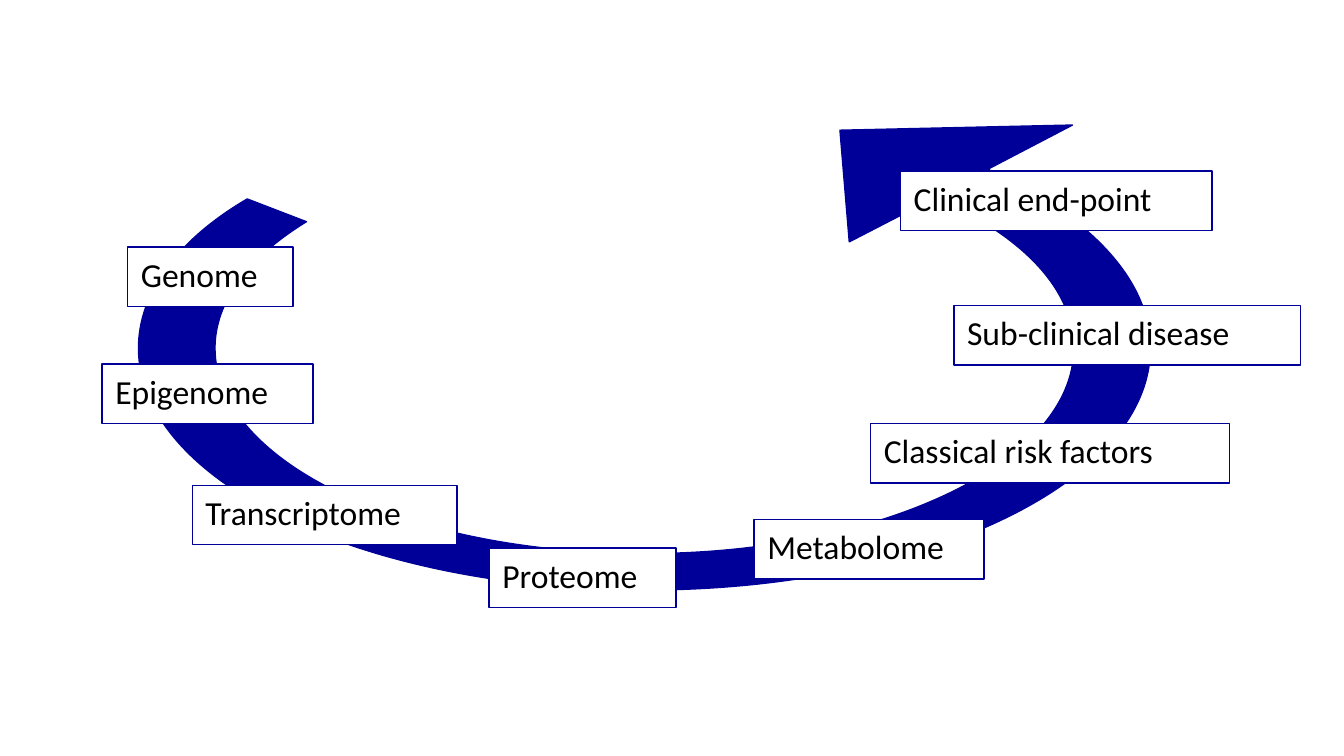
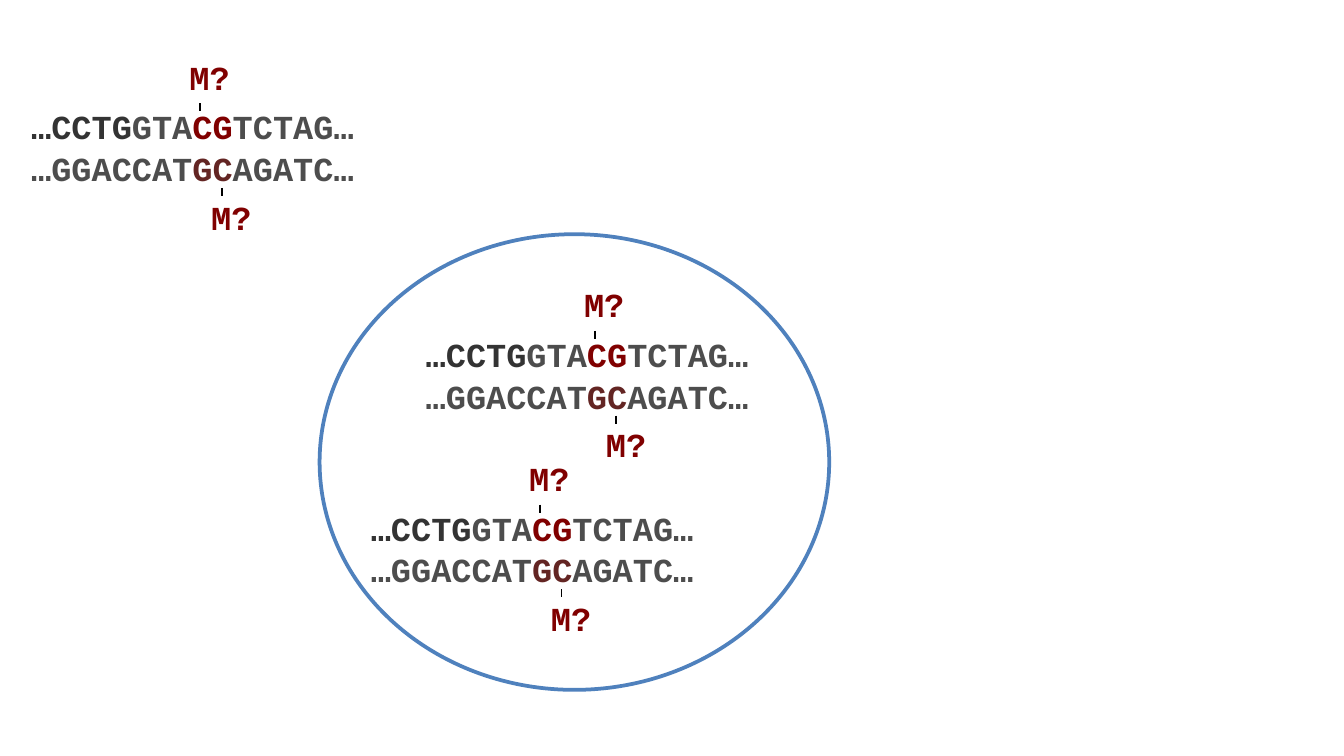
from pptx import Presentation
from pptx.dml.color import RGBColor
from pptx.enum.shapes import MSO_CONNECTOR as CONN, MSO_SHAPE as SHAPE
from pptx.enum.text import MSO_ANCHOR as ANCHOR, MSO_AUTO_SIZE as AUTO
from pptx.enum.text import PP_ALIGN as ALIGN
from pptx.oxml.ns import qn
from pptx.oxml.xmlchemy import OxmlElement
from pptx.util import Pt

# Shared look
NAVY = RGBColor(0x00, 0x00, 0x99)
BLUE = RGBColor(0x4F, 0x81, 0xBD)
WHITE = RGBColor(0xFF, 0xFF, 0xFF)
BLACK = RGBColor(0x00, 0x00, 0x00)
CHARCOAL = RGBColor(0x33, 0x33, 0x33)
GREY = RGBColor(0x4D, 0x4D, 0x4D)
RED = RGBColor(0x80, 0x00, 0x00)
BROWN = RGBColor(0x63, 0x25, 0x23)
SANS, MONO = "Calibri", "Courier New"
TEXT_SIZE = 18

# Curved arrow: one point makes a straight side, three make a Bézier curve
ARROW_START = (501.1, 105.8)
ARROW_SIDES = [
    [(548.6, 126.7), (575.3, 155.5), (575.3, 186.5)],
    [(575.3, 247.7), (472.3, 296.6), (345.6, 296.6)],
    [(218.2, 296.6), (115.2, 247.7), (115.2, 186.5)],
    [(115.2, 162), (132.5, 138.2), (164.2, 118.8)],
    [(132.5, 106.6)],
    [(94.3, 128.9), (74.2, 157.7), (74.2, 186.5)],
    [(74.2, 258.5), (195.8, 316.1), (345.6, 316.1)],
    [(495.4, 316.1), (616.3, 258.5), (616.3, 186.5)],
    [(616.3, 150.5), (584.6, 115.9), (529.2, 90.7)],
    [(574.6, 67)],
    [(450, 69.8)],
    [(455, 129.6)],
    [ARROW_START],
]

# Stages along the arrow: text, left, top, width
STAGES = [
    ("Genome", 68.4, 132.4, 88.6),
    ("Epigenome", 54.7, 195, 113),
    ("Transcriptome", 103, 260, 141.8),
    ("Proteome", 262, 293.6, 100.1),
    ("Metabolome", 404, 278.4, 123.1),
    ("Classical risk factors", 466.4, 226.8, 192.2),
    ("Sub-clinical disease", 511, 163.6, 185.8),
    ("Clinical end-point", 482.4, 91.6, 167),
]
STAGE_HEIGHT = 31.9

# DNA strands: runs of text and colour
STRANDS = [
    [("…CCTG", CHARCOAL), ("GTA", GREY), ("CG", RED), ("TCTAG…", GREY)],
    [("…GGACCAT", GREY), ("GC", BROWN), ("AGATC…", GREY)],
]
DNA_PLACES = [(9.6, 53.4), (221, 175.4), (191.6, 268.5)]
# Methyl marks relative to the strands: text left, text top, tick x, tick top
MARKS = [(84.8, -26.6, 97.7, 1.9), (96.5, 48.3, 109.2, 47.3)]
TICK_LENGTH = 4.2


def style_shape(sp, fill, line, width):
    sp.shadow.inherit = False
    sp.fill.solid()
    sp.fill.fore_color.rgb = fill
    sp.line.color.rgb = line
    sp.line.width = Pt(width)


def write_text(sp, paragraphs, font, bold=False, gaps=(0, 0)):
    tf = sp.text_frame
    tf.word_wrap = False
    tf.auto_size = AUTO.SHAPE_TO_FIT_TEXT
    tf.vertical_anchor = ANCHOR.TOP
    for i, runs in enumerate(paragraphs):
        p = tf.add_paragraph() if i else tf.paragraphs[0]
        p.alignment = ALIGN.LEFT
        p.space_before = Pt(gaps[i])
        for text, color in runs:
            r = p.add_run()
            r.text = text
            r.font.name = font
            r.font.size = Pt(TEXT_SIZE)
            r.font.bold = bold
            r.font.color.rgb = color


def add_arrow(slide):
    builder = slide.shapes.build_freeform(*map(Pt, ARROW_START))
    builder.add_line_segments([tuple(map(Pt, side[-1])) for side in ARROW_SIDES])
    sp = builder.convert_to_shape()
    style_shape(sp, NAVY, NAVY, 0.75)

    # Turn the sides with control points into curves
    sides = list(sp._element.iter(qn("a:lnTo")))
    for straight, points in zip(sides, ARROW_SIDES):
        if len(points) == 1:
            continue
        curve = OxmlElement("a:cubicBezTo")
        for x, y in points:
            pt = OxmlElement("a:pt")
            pt.set("x", str(Pt(x) - sp.left))
            pt.set("y", str(Pt(y) - sp.top))
            curve.append(pt)
        straight.getparent().replace(straight, curve)


def add_stage(slide, text, left, top, width):
    sp = slide.shapes.add_shape(SHAPE.RECTANGLE, Pt(left), Pt(top),
                                Pt(width), Pt(STAGE_HEIGHT))
    style_shape(sp, WHITE, NAVY, 0.75)
    write_text(sp, [[(text, BLACK)]], SANS)


def add_sequence_text(slide, paragraphs, left, top, width, height):
    sp = slide.shapes.add_textbox(Pt(left), Pt(top), Pt(width), Pt(height))
    write_text(sp, paragraphs, MONO, bold=True, gaps=(3.6, 0.6))


def add_tick(slide, x, top):
    line = slide.shapes.add_connector(CONN.STRAIGHT, Pt(x), Pt(top),
                                      Pt(x), Pt(top + TICK_LENGTH))
    line.line.color.rgb = BLACK
    line.line.width = Pt(1)
    line._element.spPr.append(OxmlElement("a:effectLst"))


def add_dna(slide, left, top):
    add_sequence_text(slide, STRANDS, left, top, 188, 51.1)
    for dx, dy, tick_x, tick_y in MARKS:
        add_tick(slide, left + tick_x, top + tick_y)
        add_sequence_text(slide, [[("M?", RED)]], left + dx, top + dy, 38.2, 31)


def main():
    prs = Presentation()
    prs.slide_width, prs.slide_height = Pt(720), Pt(405)
    blank = prs.slide_layouts[6]

    # Slide 1: from genome to clinical end-point
    slide = prs.slides.add_slide(blank)
    add_arrow(slide)
    for stage in STAGES:
        add_stage(slide, *stage)

    # Slide 2: methylation of DNA, outside and inside the cell
    slide = prs.slides.add_slide(blank)
    cell = slide.shapes.add_shape(SHAPE.OVAL, Pt(171.2), Pt(125.5),
                                  Pt(273), Pt(244.1))
    style_shape(cell, WHITE, BLUE, 2)
    for place in DNA_PLACES:
        add_dna(slide, *place)

    prs.save("out.pptx")


if __name__ == "__main__":
    main()
